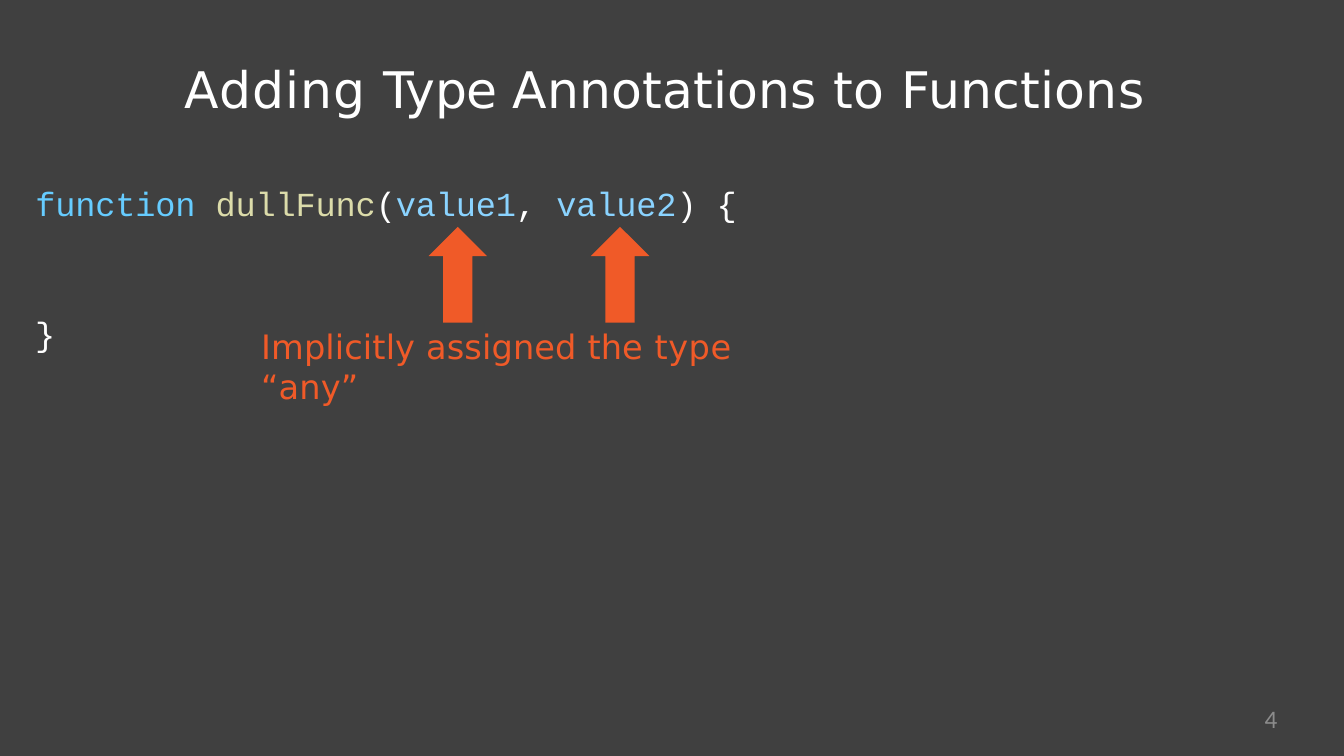
from pptx import Presentation
from pptx import util as u
from pptx.dml.color import RGBColor
from pptx.enum import shapes, text

BACKGROUND = RGBColor(0x40, 0x40, 0x40)
WHITE = RGBColor(0xFF, 0xFF, 0xFF)
KEYWORD = RGBColor(0x66, 0xCC, 0xFF)
FUNCTION_NAME = RGBColor(0xDC, 0xDC, 0xAA)
PARAMETER = RGBColor(0x8A, 0xD3, 0xFF)
ORANGE = RGBColor(0xF0, 0x5A, 0x28)
GRAY = RGBColor(0x8C, 0x8C, 0x8C)

CODE_FONT = "Courier New"
TEXT_FONT = "DejaVu Sans"
NUMBER_FONT = "Calibri"


def add_line(slide, box, runs, font, size, align=text.PP_ALIGN.LEFT, before=1):
    shape = slide.shapes.add_textbox(*[u.Inches(length) for length in box])
    frame = shape.text_frame
    frame.word_wrap = True
    frame.margin_left = frame.margin_right = frame.margin_bottom = 0
    frame.margin_top = u.Inches(0.01)
    paragraph = frame.paragraphs[0]
    paragraph.alignment = align
    paragraph.space_before = u.Pt(before)
    for words, color, spacing in runs:
        run = paragraph.add_run()
        run.text = words
        run.font.name = font
        run.font.size = u.Pt(size)
        run.font.color.rgb = color
        run._r.get_or_add_rPr().set("spc", str(round(spacing * 100)))


def add_title(slide, box):
    parts = [("Adding ", 0.8), ("Type ", -0.5), ("Annotations ", 0.1),
             ("to ", 0.4), ("Functions", 0.2)]
    runs = [(words, WHITE, spacing) for words, spacing in parts]
    add_line(slide, box, runs, TEXT_FONT, 36)


def add_code(slide, box):
    left, top, width, height = box
    line_height = 0.43
    signature = [("function ", KEYWORD), ("dullFunc", FUNCTION_NAME),
                 ("(", WHITE), ("value1", PARAMETER), (", ", WHITE),
                 ("value2", PARAMETER), (") ", WHITE), ("{", WHITE)]
    runs = [(words, color, -0.1) for words, color in signature]
    add_line(slide, (left, top, width, line_height), runs, CODE_FONT, 24)
    closing = (left, top + height - line_height, 0.23, line_height)
    add_line(slide, closing, [("}", WHITE, 0)], CODE_FONT, 24)


def add_callout(slide, box):
    left, top, width, height = box
    arrow_width, arrow_height = 0.58, 0.95
    for offset in (1.66, 3.27):
        arrow = slide.shapes.add_shape(
            shapes.MSO_SHAPE.UP_ARROW, u.Inches(left + offset), u.Inches(top),
            u.Inches(arrow_width), u.Inches(arrow_height))
        arrow.shadow.inherit = False
        arrow.fill.solid()
        arrow.fill.fore_color.rgb = ORANGE
        arrow.line.fill.background()
    label_top = top + arrow_height + 0.02
    label = (left, label_top, width, top + height - label_top)
    runs = [("Implicitly assigned the ", ORANGE, 0.1),
            ("type ", ORANGE, 0.4), ("“any”", ORANGE, 0.1)]
    add_line(slide, label, runs, TEXT_FONT, 24)


def add_slide_number(slide, box):
    add_line(slide, box, [("4", GRAY, 0)], NUMBER_FONT, 18,
             text.PP_ALIGN.RIGHT, 0)


def main():
    presentation = Presentation()
    presentation.slide_width = u.Inches(13.33)
    presentation.slide_height = u.Inches(7.5)
    slide = presentation.slides.add_slide(presentation.slide_layouts[6])
    slide.background.fill.solid()
    slide.background.fill.fore_color.rgb = BACKGROUND
    add_title(slide, (1.83, 0.57, 9.57, 0.63))
    add_code(slide, (0.35, 1.8, 7.02, 1.72))
    add_callout(slide, (2.59, 2.25, 5.7, 1.4))
    add_slide_number(slide, (9.6, 6.97, 3.07, 0.38))
    presentation.save("out.pptx")


if __name__ == "__main__":
    main()
